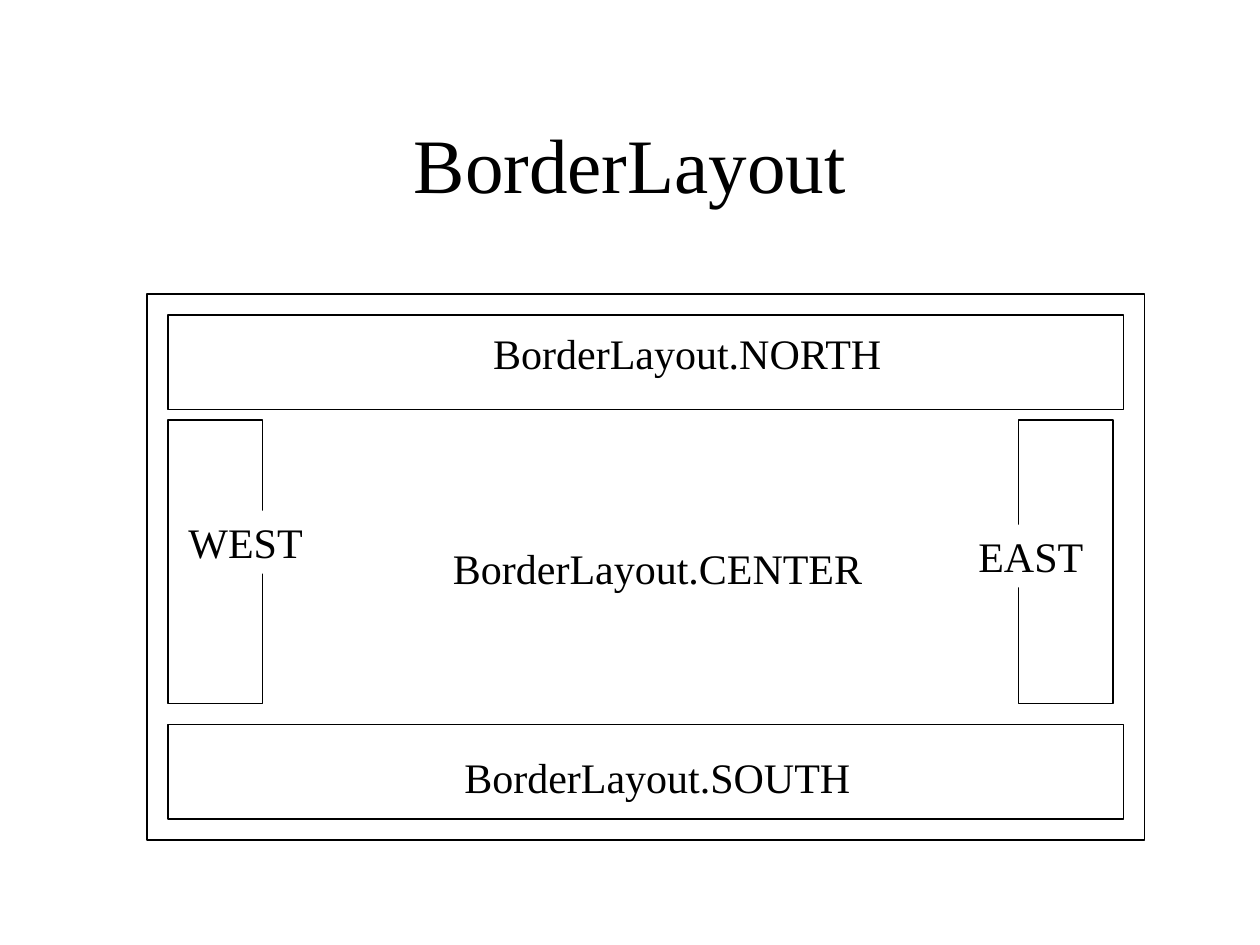
from pptx import Presentation
from pptx.dml.color import RGBColor
from pptx.enum import shapes, text
from pptx.util import Inches, Pt

FONT = "Times New Roman"
BLACK, WHITE = "000000", "FFFFFF"


def color(value):
    return RGBColor.from_string(value)


def place(shape, box):
    shape.left, shape.top, shape.width, shape.height = map(Inches, box)


def write(shape, words, size=24, align=text.PP_ALIGN.LEFT,
          anchor=text.MSO_ANCHOR.TOP, wrap=False,
          fit=text.MSO_AUTO_SIZE.SHAPE_TO_FIT_TEXT):
    frame = shape.text_frame
    frame.word_wrap, frame.auto_size, frame.vertical_anchor = wrap, fit, anchor
    frame.margin_left = frame.margin_right = Inches(0.1)
    frame.margin_top = frame.margin_bottom = Inches(0.05)
    para = frame.paragraphs[0]
    para.alignment = align
    span = para.add_run()
    span.text = words
    span.font.name, span.font.size = FONT, Pt(size)
    span.font.color.rgb = color(BLACK)


def add_rectangle(page, box, fill=None, line=None):
    shape = page.shapes.add_shape(shapes.MSO_SHAPE.RECTANGLE, *map(Inches, box))
    shape.shadow.inherit = False
    if fill:
        shape.fill.solid()
        shape.fill.fore_color.rgb = color(fill)
    else:
        shape.fill.background()
    if line:
        shape.line.color.rgb = color(line)
        shape.line.width = Pt(0.75)
    else:
        shape.line.fill.background()
    return shape


def add_title(page, box):
    title = page.shapes.title
    place(title, box)
    write(title, "BorderLayout", size=44, align=text.PP_ALIGN.CENTER,
          anchor=text.MSO_ANCHOR.MIDDLE, wrap=True,
          fit=text.MSO_AUTO_SIZE.NONE)


def add_regions(page, box):
    """Draw the container and its four edge regions."""
    left, top, width, height = box
    add_rectangle(page, box, line=BLACK)
    gap, depth = 1 / 6, 0.75
    inner_left, inner_width = left + gap, width - 2 * gap
    # North and south bands
    for band_top in (top + gap, top + height - gap - depth):
        add_rectangle(page, (inner_left, band_top, inner_width, depth), line=BLACK)
    # West and east columns
    for column_left in (inner_left, left + width - 0.25 - depth):
        add_rectangle(page, (column_left, top + 1, depth, 2.25), line=BLACK)


def add_labels(page, box):
    """Name the regions, with offsets from the container's corner."""
    left, top = box[:2]
    # Plain labels
    for words, x, y, width in (("NORTH", 2.65, 0.22, 3.3),
                               ("SOUTH", 2.42, 3.58, 3.28),
                               ("CENTER", 2.33, 1.92, 3.46)):
        label = page.shapes.add_textbox(
            *map(Inches, (left + x, top + y, width, 0.5)))
        write(label, f"BorderLayout.{words}")
    # Labels with a white ground that covers the column edge
    for words, x, y, width in (("WEST", 0.23, 1.72, 1.12),
                               ("EAST", 6.5, 1.83, 1.04)):
        label = add_rectangle(page, (left + x, top + y, width, 0.5), fill=WHITE)
        write(label, words)


def main():
    deck = Presentation()
    deck.slide_width, deck.slide_height = Inches(10), Inches(7.5)
    page = deck.slides.add_slide(deck.slide_layouts[5])
    # The container sits on a grid of twelfths of an inch
    container = [steps / 12 for steps in (14, 28, 95, 52)]
    add_title(page, (0.75, 0.67, 8.5, 1.25))
    add_regions(page, container)
    add_labels(page, container)
    deck.save("out.pptx")


if __name__ == "__main__":
    main()
